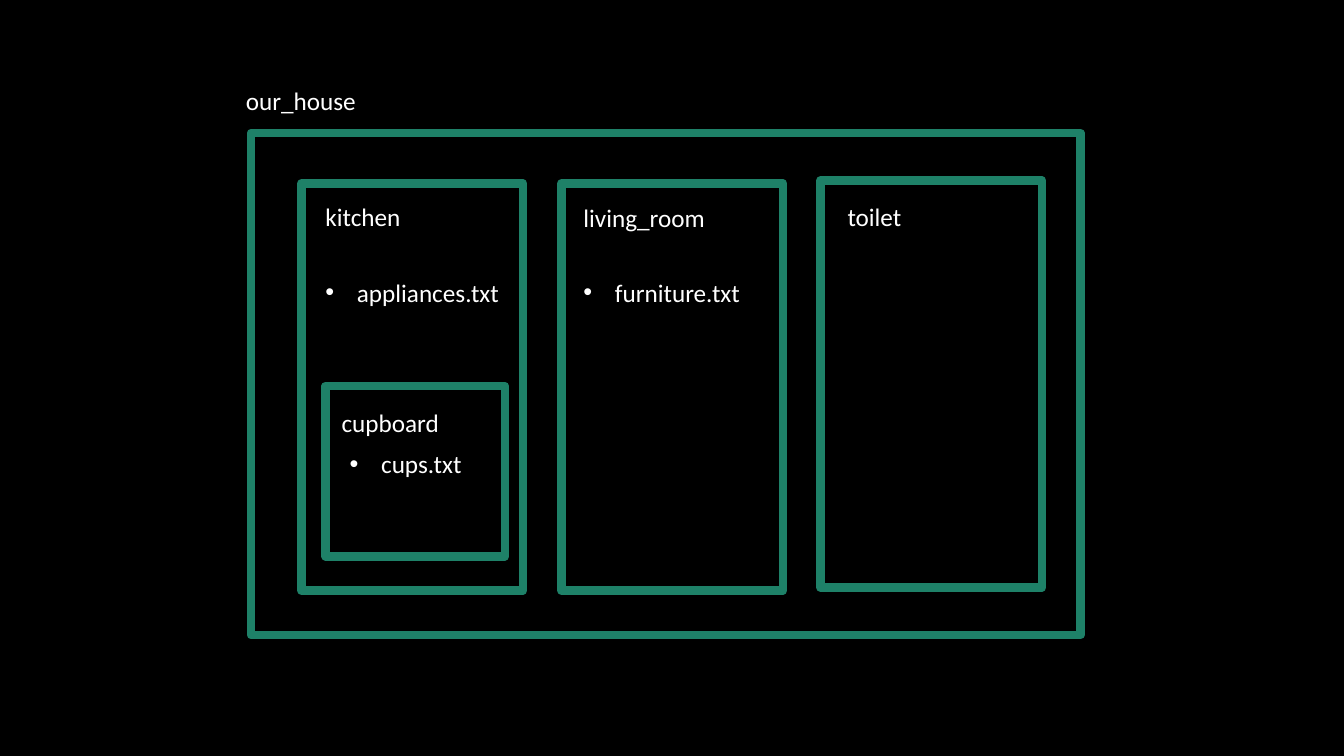
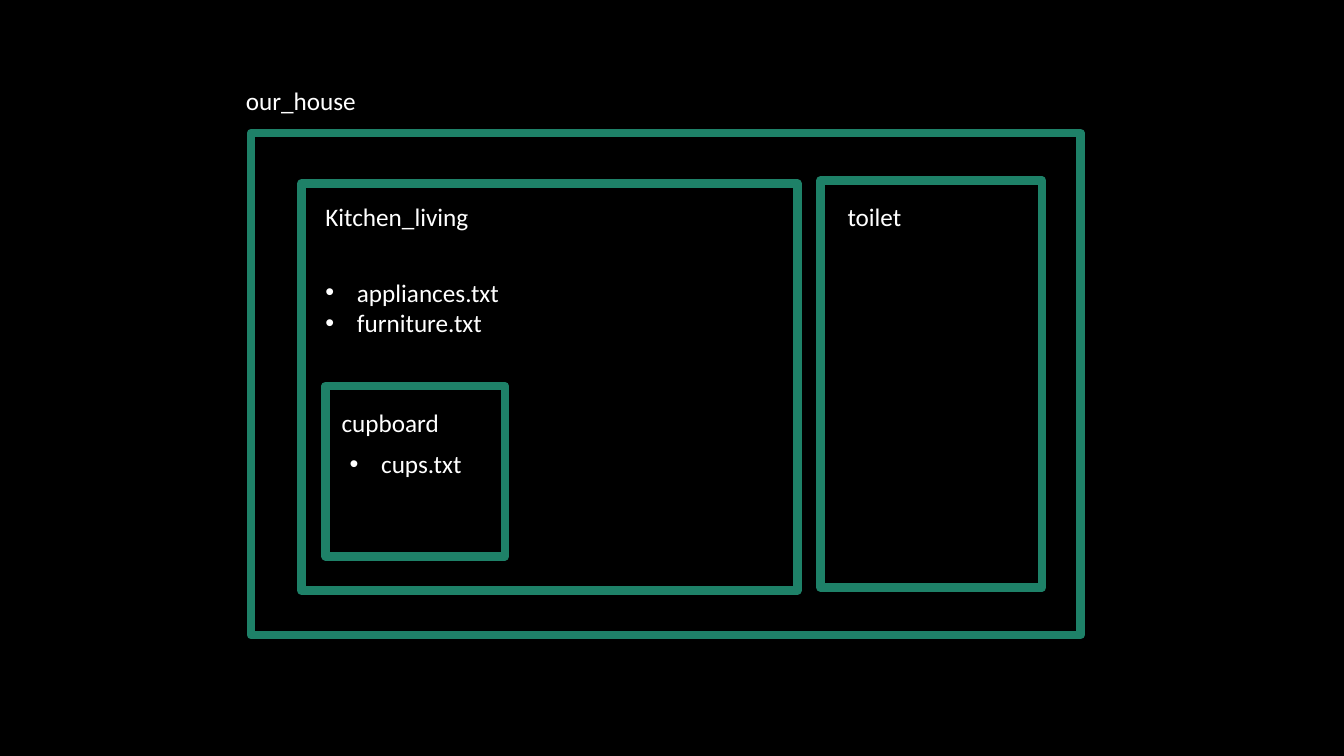
from lxml import etree
from pptx import Presentation
from pptx import util as u
from pptx.dml.color import RGBColor
from pptx.enum import shapes, text
from pptx.oxml import ns

COLOURS = {"background": "000000", "wall": "1E8168", "text": "FFFFFF"}


class HousePlan:
    """Draws folders as rooms of a house, one plan per slide."""

    font, size, wall_width = "Calibri", 18, 6
    line_height, indent = 28.8, 22.5

    def __init__(self):
        self.presentation = Presentation()
        self.presentation.slide_width = u.Pt(960)
        self.presentation.slide_height = u.Pt(540)

    def colour(self, name):
        return RGBColor.from_string(COLOURS[name])

    def add_slide(self):
        self.slide = self.presentation.slides.add_slide(self.presentation.slide_layouts[6])
        self.shapes = self.slide.shapes
        fill = self.slide.background.fill
        fill.solid()
        fill.fore_color.rgb = self.colour("background")

    def walls(self, left, top, width, height):
        shape = self.shapes.add_shape(
            shapes.MSO_SHAPE.RECTANGLE, u.Pt(left), u.Pt(top), u.Pt(width), u.Pt(height))
        shape.shadow.inherit = False
        shape.fill.background()
        shape.line.color.rgb = self.colour("wall")
        shape.line.width = u.Pt(self.wall_width)

    def text_box(self, left, top, width, lines, bullets=False):
        height = self.line_height + (len(lines) - 1) * 22
        box = self.shapes.add_textbox(u.Pt(left), u.Pt(top), u.Pt(width), u.Pt(height))
        frame = box.text_frame
        frame.word_wrap = bullets
        frame.auto_size = text.MSO_AUTO_SIZE.SHAPE_TO_FIT_TEXT
        frame.text = "\n".join(lines)
        for paragraph in frame.paragraphs:
            paragraph.font.name = self.font
            paragraph.font.size = u.Pt(self.size)
            paragraph.font.color.rgb = self.colour("text")
            if bullets:
                self.bullet(paragraph)

    def bullet(self, paragraph):
        properties = paragraph._p.get_or_add_pPr()
        properties.set("marL", str(u.Pt(self.indent)))
        properties.set("indent", str(-u.Pt(self.indent)))
        font = etree.Element(ns.qn("a:buFont"), typeface="Arial")
        character = etree.Element(ns.qn("a:buChar"), char="•")
        properties.insert(0, font)
        properties.insert(1, character)

    def label(self, left, top, width, name):
        self.text_box(left, top, width, [name])

    def files(self, left, top, width, names):
        self.text_box(left, top, width, names, bullets=True)

    def room(self, left, top, width):
        self.walls(left, top, width, 290.88)

    def house(self):
        self.walls(179.28, 95.04, 592.56, 358.56)
        self.label(168.48, 57.6, 94.32, "our_house")

    def kitchen(self, width, name, label_width, files):
        self.room(215.28, 131.04, width)
        self.label(225.36, 140.4, label_width, name)
        self.files(225.36, 194.4, 143.28, files)
        self.cupboard()

    def cupboard(self):
        self.shapes = self.slide.shapes.add_group_shape().shapes
        self.walls(232.56, 275.76, 128.16, 121.68)
        self.label(236.88, 287.28, 84.96, "cupboard")
        self.files(242.64, 316.8, 101.52, ["cups.txt"])
        self.shapes = self.slide.shapes

    def living_room(self):
        self.room(401.04, 131.04, 158.4)
        self.label(409.68, 141.12, 102.24, "living_room")
        self.files(409.68, 194.4, 149.04, ["furniture.txt"])

    def toilet(self):
        self.room(586.08, 128.88, 158.4)
        self.label(598.32, 140.4, 53.28, "toilet")


plan = HousePlan()

plan.add_slide()
plan.house()
plan.kitchen(158.4, "kitchen", 68.4, ["appliances.txt"])
plan.living_room()
plan.toilet()

plan.add_slide()
plan.house()
plan.kitchen(354.24, "Kitchen_living", 118.08, ["appliances.txt", "furniture.txt"])
plan.toilet()

plan.presentation.save("out.pptx")
